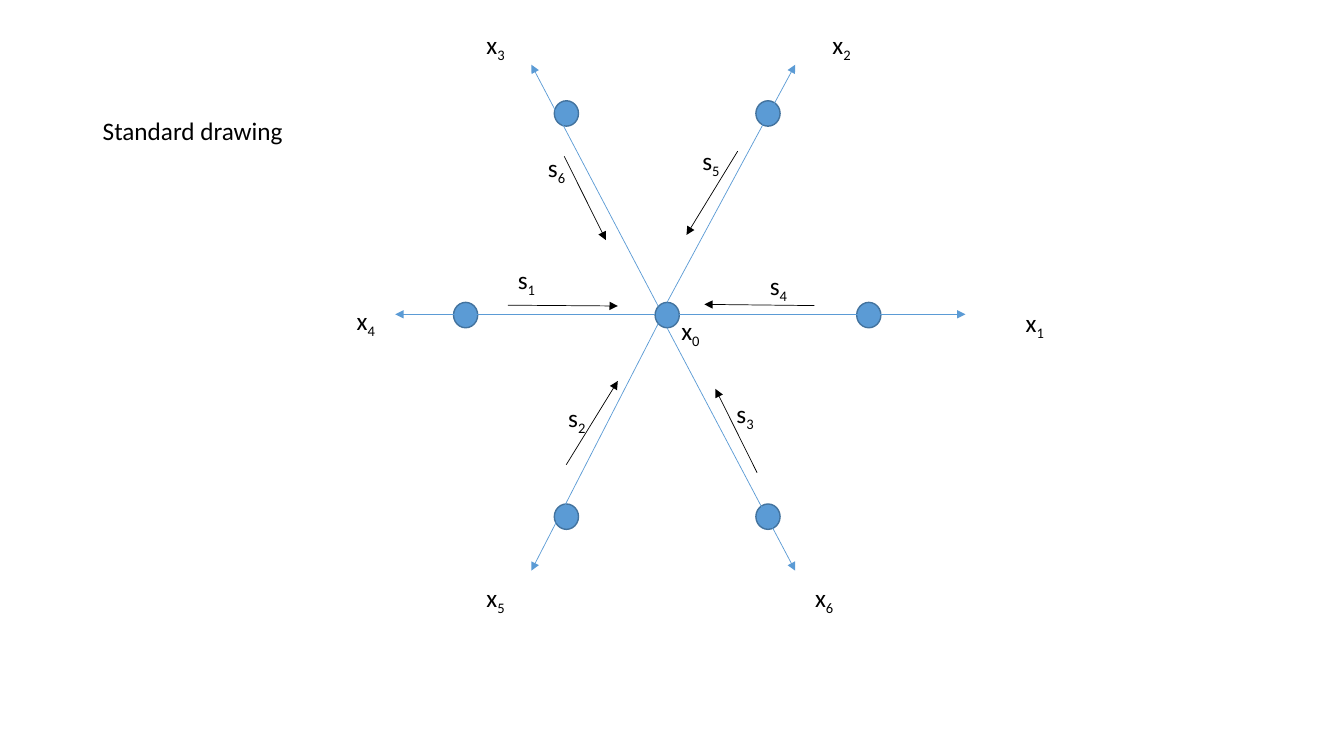
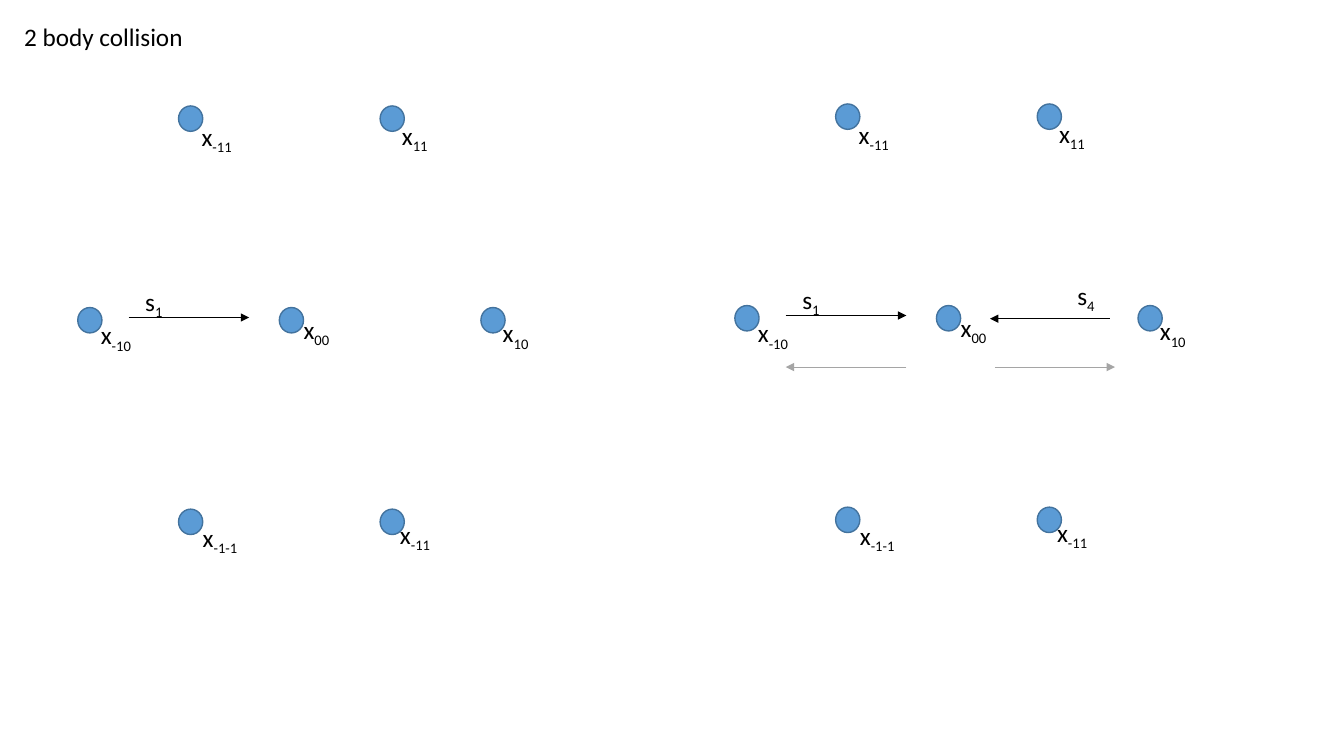
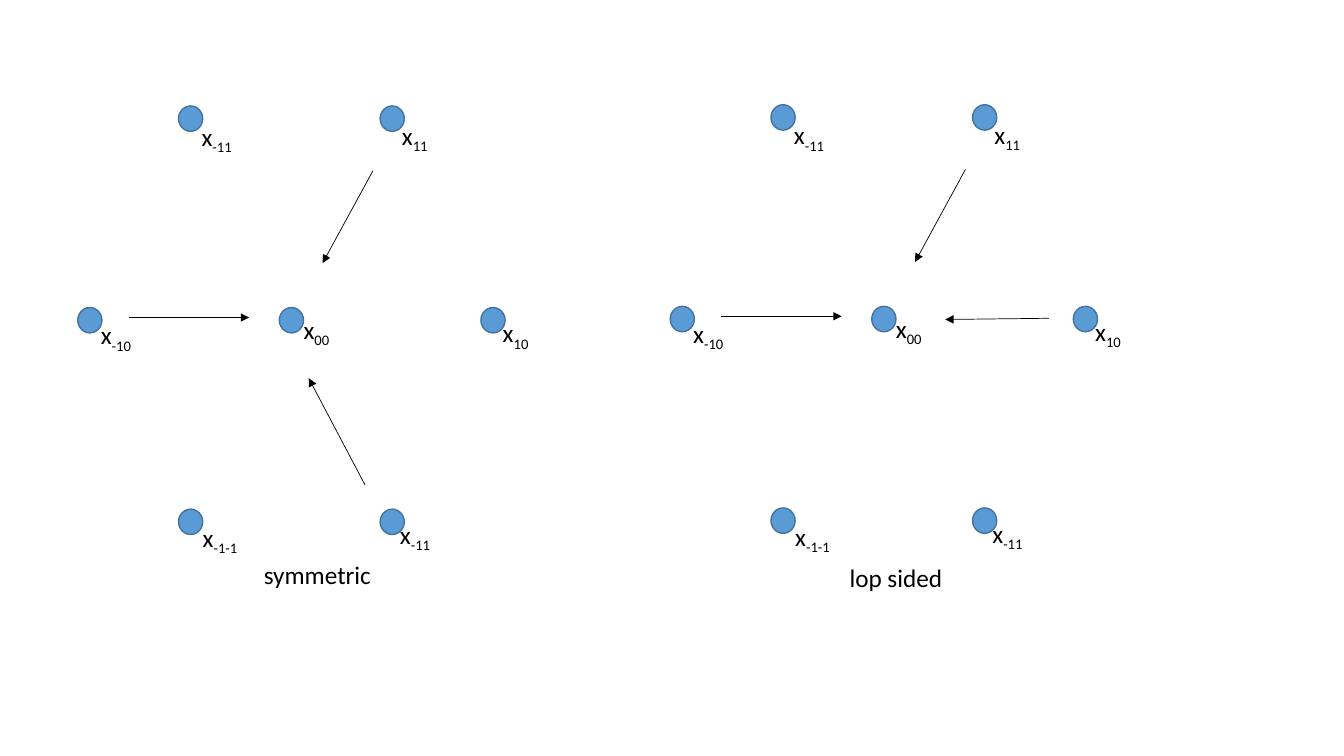
from lxml.etree import SubElement
from pptx import Presentation
from pptx.dml.color import RGBColor
from pptx.enum.shapes import MSO_CONNECTOR as Connector, MSO_SHAPE as Shape
from pptx.enum.text import MSO_AUTO_SIZE as AutoSize
from pptx.oxml.ns import qn
from pptx.util import Cm, Pt

BLUE = RGBColor(0x5B, 0x9B, 0xD5)
DARK_BLUE = RGBColor(0x43, 0x73, 0x9E)
BLACK = RGBColor(0, 0, 0)
GREY = RGBColor(0xA5, 0xA5, 0xA5)
FONT = "Calibri"

# All lengths are centimetres; a lattice origin is its top left corner
NODE_WIDTH, NODE_HEIGHT = 0.61, 0.64
STEP = 2.54
LABEL_HEIGHT = 1.02
SHORT_LABEL, NODE_LABEL = 1.02, 1.5

# Node: column and row in steps, subscript, label offset from the node
NODES = [
    (0, 2, "-10", 0.33, 0.18),
    (2, 2, "00", 0.36, 0.05),
    (4, 2, "10", 0.3, 0.13),
    (1, 4, "-1-1", 0.36, 0.2),
    (3, 4, "-11", 0.25, 0.13),
    (1, 0, "-11", 0.33, 0.25),
    (3, 0, "11", 0.3, 0.23),
]

# Arrows: start x, start y, end x, end y from the lattice origin
AXES = [
    (5.38, 5.08, 8.61, -0.91),
    (5.69, 5.38, 12.9, 5.38),
    (5.38, 5.72, 8.61, 11.84),
    (5.16, 5.61, 1.96, 11.84),
    (5.08, 5.38, -1.47, 5.38),
    (5.16, 5.18, 1.96, -0.91),
]
INFLOWS = [
    (1.37, 5.15, 4.14, 5.17),
    (9.09, 5.16, 6.32, 5.13),
    (2.84, 9.17, 4.14, 7.06),
    (7.16, 1.27, 5.87, 3.38),
    (2.79, 1.4, 3.84, 3.51),
    (7.65, 9.37, 6.6, 7.26),
]
FROM_LEFT = (1.28, 5.33, 4.32, 5.33)
FROM_RIGHT = (9.45, 5.41, 6.43, 5.41)
BACK_LEFT = (4.32, 6.63, 1.28, 6.63)
BACK_RIGHT = (6.55, 6.63, 9.58, 6.63)
FROM_UPPER_RIGHT = (7.44, 1.63, 6.17, 3.96)
FROM_LOWER_RIGHT = (7.24, 9.55, 5.82, 6.86)
SHORT_FROM_RIGHT = (9.55, 5.38, 6.93, 5.41)

# Labels: letter, subscript, x, y from the lattice origin
AXIS_LABELS = [
    ("x", "1", 14.17, 5.08), ("x", "2", 9.3, -1.93),
    ("x", "3", 0.58, -1.93), ("x", "4", -2.69, 5.03),
    ("x", "5", 0.58, 12.01), ("x", "6", 8.86, 12.01),
    ("s", "5", 6.02, 0.99), ("s", "6", 2.13, 1.17),
    ("s", "1", 1.37, 3.99), ("s", "2", 2.64, 7.47),
    ("s", "3", 6.88, 7.37), ("s", "4", 7.72, 4.14),
    ("x", "0", 5.49, 5.28),
]
LEFT_SPEED = ("s", "1", 1.45, 4.42)
RIGHT_SPEED = ("s", "4", 8.38, 4.32)


def add_text(slide, left, top, width, text, subscript="", wrap=False):
    box = slide.shapes.add_textbox(Cm(left), Cm(top), Cm(width), Cm(LABEL_HEIGHT))
    frame = box.text_frame
    frame.word_wrap = wrap
    frame.auto_size = AutoSize.SHAPE_TO_FIT_TEXT
    paragraph = frame.paragraphs[0]
    paragraph.text = text
    if subscript:
        run = paragraph.add_run()
        run.text = subscript
        run._r.get_or_add_rPr().set("baseline", "-25000")
    for run in paragraph.runs:
        run.font.name = FONT
        run.font.size = Pt(18)
        run.font.color.rgb = BLACK


def add_arrows(slide, origin, arrows, color=BLACK):
    left, top = origin
    for start_x, start_y, end_x, end_y in arrows:
        arrow = slide.shapes.add_connector(
            Connector.STRAIGHT, Cm(left + start_x), Cm(top + start_y),
            Cm(left + end_x), Cm(top + end_y))
        arrow.line.color.rgb = color
        arrow.line.width = Pt(0.5)
        properties = arrow.element.spPr
        SubElement(properties.find(qn("a:ln")), qn("a:tailEnd"), type="triangle")
        SubElement(properties, qn("a:effectLst"))


def add_labels(slide, origin, labels, width=SHORT_LABEL, wrap=False):
    left, top = origin
    for letter, subscript, x, y in labels:
        add_text(slide, left + x, top + y, width, letter, subscript, wrap)


def add_nodes(slide, origin):
    left, top = origin
    for column, row, *_ in NODES:
        node = slide.shapes.add_shape(
            Shape.OVAL, Cm(left + column * STEP), Cm(top + row * STEP),
            Cm(NODE_WIDTH), Cm(NODE_HEIGHT))
        node.shadow.inherit = False
        node.fill.solid()
        node.fill.fore_color.rgb = BLUE
        node.line.color.rgb = DARK_BLUE
        node.line.width = Pt(1)


def add_lattice(slide, origin, arrows, speeds=()):
    """Seven labelled nodes with the arrows and speeds of one collision."""
    add_nodes(slide, origin)
    names = [("x", subscript, column * STEP + x, row * STEP + y)
             for column, row, subscript, x, y in NODES]
    add_labels(slide, origin, names, NODE_LABEL, True)
    add_arrows(slide, origin, arrows)
    add_labels(slide, origin, speeds, NODE_LABEL, True)


def standard_slide(slide):
    origin = (11.43, 2.54)
    add_nodes(slide, origin)
    add_arrows(slide, origin, AXES, BLUE)
    add_labels(slide, origin, AXIS_LABELS)
    add_arrows(slide, origin, INFLOWS)
    add_text(slide, 2.34, 2.77, 5.11, "Standard drawing")


def two_body_slide(slide):
    add_text(slide, 0.36, 0.41, 4.55, "2 body collision")
    # One incoming body
    add_lattice(slide, (1.96, 2.67), [FROM_LEFT], [LEFT_SPEED])
    # Two bodies head on, with the outgoing directions in grey
    origin = (18.52, 2.62)
    add_lattice(slide, origin, [FROM_LEFT, FROM_RIGHT], [LEFT_SPEED, RIGHT_SPEED])
    add_arrows(slide, origin, [BACK_LEFT, BACK_RIGHT], GREY)


def three_body_slide(slide):
    # Symmetric collision
    add_lattice(slide, (1.96, 2.67),
                [FROM_LEFT, FROM_UPPER_RIGHT, FROM_LOWER_RIGHT])
    add_text(slide, 6.4, 13.97, 3.23, "symmetric")
    # Lop sided collision
    add_lattice(slide, (16.89, 2.64),
                [FROM_LEFT, SHORT_FROM_RIGHT, FROM_UPPER_RIGHT])
    add_text(slide, 21.16, 14.05, 2.87, "lop sided")


presentation = Presentation()
presentation.slide_width = Cm(33.87)
presentation.slide_height = Cm(19.05)
blank = presentation.slide_layouts[6]
for build in (standard_slide, two_body_slide, three_body_slide):
    build(presentation.slides.add_slide(blank))
presentation.save("out.pptx")
